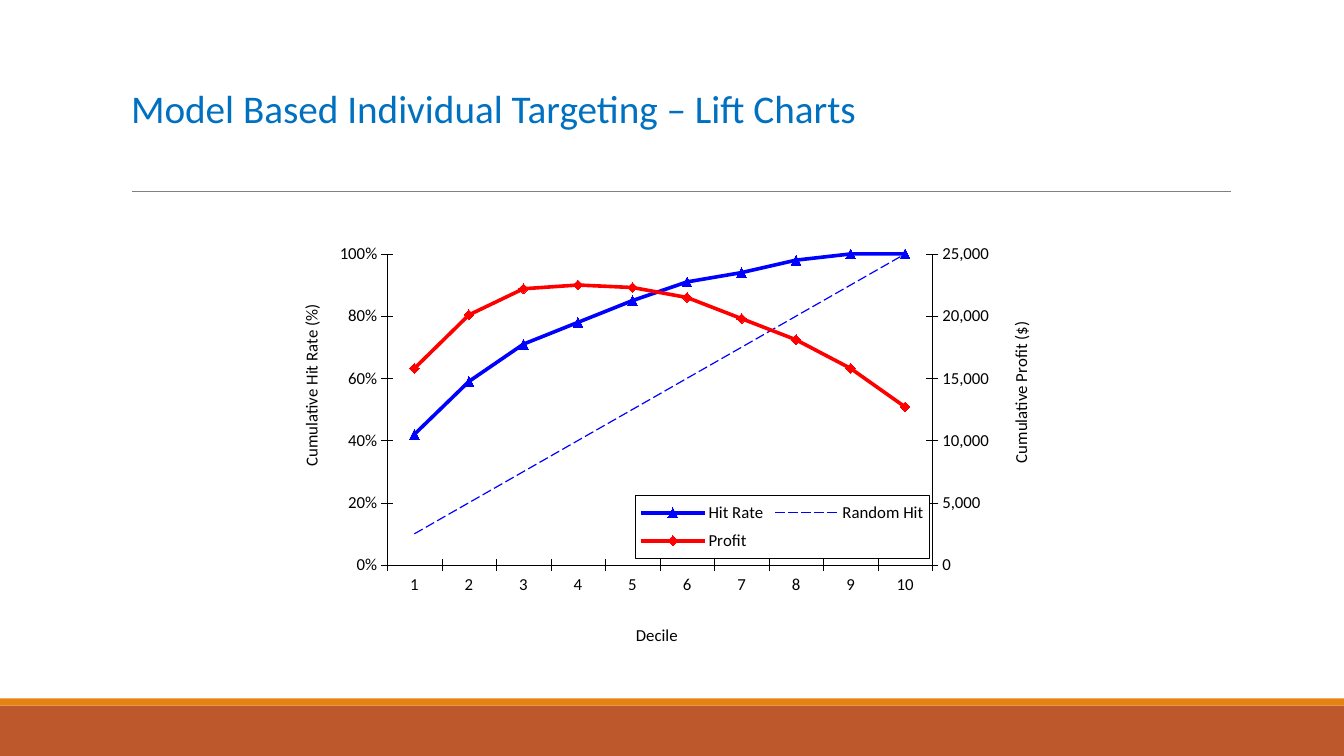
import copy
from dataclasses import dataclass
from typing import Optional

import lxml.etree
import pptx
import pptx.chart.axis
import pptx.chart.data
import pptx.dml.color
import pptx.enum.chart
import pptx.enum.dml
import pptx.enum.shapes
import pptx.enum.text
import pptx.oxml
import pptx.oxml.ns
import pptx.util

RGBColor = pptx.dml.color.RGBColor
MarkerStyle = pptx.enum.chart.XL_MARKER_STYLE
qn = pptx.oxml.ns.qn

BLACK = RGBColor(0x00, 0x00, 0x00)
GREY = RGBColor(0x80, 0x80, 0x80)
TITLE_BLUE = RGBColor(0x00, 0x70, 0xC0)
HIT_BLUE = RGBColor(0x00, 0x00, 0xFF)
PROFIT_RED = RGBColor(0xFF, 0x00, 0x00)
RUST = RGBColor(0xBD, 0x58, 0x2C)
ORANGE = RGBColor(0xE4, 0x83, 0x12)
FONT = "Calibri"
WIDTH, HEIGHT = 13.33, 7.5
LEGEND_BOX = (
    f'<c:spPr {pptx.oxml.ns.nsdecls("c", "a")}>'
    '<a:solidFill><a:srgbClr val="FFFFFF"/></a:solidFill><a:ln w="9525">'
    '<a:solidFill><a:srgbClr val="000000"/></a:solidFill></a:ln></c:spPr>'
)


@dataclass(frozen=True)
class Band:
    top: float
    height: float
    color: RGBColor


@dataclass(frozen=True)
class Curve:
    name: str
    values: tuple
    number_format: str
    color: RGBColor
    width: float
    marker: Optional[MarkerStyle] = None


@dataclass(frozen=True)
class Axis:
    title: str
    title_x: float
    title_y: float
    rotation: int = 0
    number_format: str = "General"
    maximum: Optional[float] = None
    step: Optional[float] = None


# Vertical positions are shares of the slide height
BANDS = (Band(7 / HEIGHT, 0.5 / HEIGHT, RUST), Band(6.93 / HEIGHT, 0.07 / HEIGHT, ORANGE))
CURVES = (
    Curve("Hit Rate", (0.42, 0.59, 0.71, 0.78, 0.85, 0.91, 0.94, 0.98, 1, 1),
          "0%", HIT_BLUE, 2.58, MarkerStyle.TRIANGLE),
    Curve("Random Hit", tuple(decile / 10 for decile in range(1, 11)), "0%", HIT_BLUE, 0.86),
    Curve("Profit", (15800, 20100, 22200, 22500, 22300, 21500, 19800, 18100, 15800, 12700),
          "#,##0", PROFIT_RED, 2.58, MarkerStyle.DIAMOND),
)
DECILE_AXIS = Axis("Decile", 0.46, 0.92)
HIT_AXIS = Axis("Cumulative Hit Rate (%)", 0.01, 0.18, -5400000, "0%", 1, 0.2)
PROFIT_AXIS = Axis("Cumulative Profit ($)", 0.96, 0.22, -5400000, "#,##0", 25000, 5000)


def across(share: float) -> int:
    return pptx.util.Inches(WIDTH * share)


def down(share: float) -> int:
    return pptx.util.Inches(HEIGHT * share)


def set_values(target, values: dict) -> None:
    for name, value in values.items():
        setattr(target, name, value)


def style_font(font, size: float, color: RGBColor) -> None:
    set_values(font, {"name": FONT, "size": pptx.util.Pt(size), "bold": False})
    font.color.rgb = color


def add_child(parent, tag: str, value: Optional[str] = None):
    child = lxml.etree.SubElement(parent, qn(tag))
    if value is not None:
        child.set("val", value)
    return child


def place(element, index: int, inner: bool = False, **shares: float) -> None:
    """Give a chart part a manual layout in shares of the chart."""
    layout = element.find(qn("c:layout"))
    if layout is None:
        layout = lxml.etree.Element(qn("c:layout"))
        element.insert(index, layout)
    for child in list(layout):
        layout.remove(child)
    manual = add_child(layout, "c:manualLayout")
    if inner:
        add_child(manual, "c:layoutTarget", "inner")
    for mode in ("xMode", "yMode"):
        add_child(manual, f"c:{mode}", "edge")
    for name, share in shares.items():
        add_child(manual, f"c:{name}", str(share))


def draw_frame(slide) -> None:
    for band in BANDS:
        shape = slide.shapes.add_shape(
            pptx.enum.shapes.MSO_SHAPE.RECTANGLE, 0, down(band.top), across(1), down(band.height))
        shape.shadow.inherit = False
        shape.fill.solid()
        shape.fill.fore_color.rgb = band.color
        shape.line.fill.background()
    rule_y = down(1.9 / HEIGHT)
    rule = slide.shapes.add_connector(
        pptx.enum.shapes.MSO_CONNECTOR.STRAIGHT,
        across(1.31 / WIDTH), rule_y, across(12.21 / WIDTH), rule_y)
    rule.line.color.rgb = GREY
    rule.line.width = pptx.util.Pt(0.5)
    add_child(rule.element.spPr, "a:effectLst")


def write_title(slide) -> None:
    title = slide.shapes.title
    set_values(title, {"left": across(1.2 / WIDTH), "top": down(0.31 / HEIGHT),
                       "width": across(11 / WIDTH), "height": down(1.59 / HEIGHT)})
    title.text = "Model Based Individual Targeting – Lift Charts"
    set_values(title.text_frame, {"word_wrap": True,
                                  "auto_size": pptx.enum.text.MSO_AUTO_SIZE.NONE,
                                  "vertical_anchor": pptx.enum.text.MSO_ANCHOR.MIDDLE})
    paragraph = title.text_frame.paragraphs[0]
    set_values(paragraph, {"alignment": pptx.enum.text.PP_ALIGN.LEFT, "line_spacing": 0.85})
    style_font(paragraph.runs[0].font, 28, TITLE_BLUE)


def style_curve(series, curve: Curve) -> None:
    series.smooth = False
    series.format.line.color.rgb = curve.color
    series.format.line.width = pptx.util.Pt(curve.width)
    if curve.marker is None:
        series.marker.style = MarkerStyle.NONE
        series.format.line.dash_style = pptx.enum.dml.MSO_LINE.LONG_DASH
        return
    set_values(series.marker, {"style": curve.marker, "size": 7})
    series.marker.format.fill.solid()
    series.marker.format.fill.fore_color.rgb = curve.color
    series.marker.format.line.color.rgb = curve.color


def style_axis(axis, element, design: Axis) -> None:
    set_values(axis, {"has_major_gridlines": False, "has_title": True,
                      "major_tick_mark": pptx.enum.chart.XL_TICK_MARK.CROSS,
                      "minor_tick_mark": pptx.enum.chart.XL_TICK_MARK.NONE})
    axis.format.line.color.rgb = BLACK
    axis.format.line.width = pptx.util.Pt(0.21)
    style_font(axis.tick_labels.font, 12, BLACK)
    set_values(axis.tick_labels, {"number_format": design.number_format,
                                  "number_format_is_linked": False})
    if design.step is not None:
        set_values(axis, {"minimum_scale": 0, "maximum_scale": design.maximum,
                          "major_unit": design.step})
    frame = axis.axis_title.text_frame
    frame.text = design.title
    style_font(frame.paragraphs[0].runs[0].font, 12, BLACK)
    title = element.find(qn("c:title"))
    title.find(f".//{qn('a:bodyPr')}").set("rot", str(design.rotation))
    place(title, 1, x=design.title_x, y=design.title_y)


def add_profit_axis(plot_area) -> None:
    """Move the last curve to a second line plot with its own axes."""
    hit_plot = plot_area.find(qn("c:lineChart"))
    category, value = plot_area.find(qn("c:catAx")), plot_area.find(qn("c:valAx"))
    profit_plot = copy.deepcopy(hit_plot)
    hit_plot.remove(hit_plot.findall(qn("c:ser"))[-1])
    for series in profit_plot.findall(qn("c:ser"))[:-1]:
        profit_plot.remove(series)
    hit_plot.addnext(profit_plot)
    profit_value, profit_category = copy.deepcopy(value), copy.deepcopy(category)
    value.addnext(profit_value)
    profit_value.addnext(profit_category)
    ids = ("50010", "50020")
    for axis_id, new_id in zip(profit_plot.findall(qn("c:axId")), ids):
        axis_id.set("val", new_id)
    for axis, own, other in ((profit_category, *ids), (profit_value, *reversed(ids))):
        axis.find(qn("c:axId")).set("val", own)
        axis.find(qn("c:crossAx")).set("val", other)
    profit_value.find(qn("c:axPos")).set("val", "r")
    profit_value.find(qn("c:crosses")).set("val", "max")
    pptx.chart.axis.CategoryAxis(profit_category).visible = False


def draw_lift_chart(slide) -> None:
    data = pptx.chart.data.CategoryChartData()
    data.categories = [str(decile) for decile in range(1, 11)]
    for curve in CURVES:
        data.add_series(curve.name, curve.values, curve.number_format)
    chart = slide.shapes.add_chart(
        pptx.enum.chart.XL_CHART_TYPE.LINE_MARKERS, across(2.87 / WIDTH), down(2.22 / HEIGHT),
        across(7.41 / WIDTH), down(4.28 / HEIGHT), data).chart
    set_values(chart, {"has_title": False, "has_legend": True})
    style_font(chart.font, 12, BLACK)
    chart.plots[0].vary_by_categories = False
    for series, curve in zip(chart.plots[0].series, CURVES):
        style_curve(series, curve)

    # Axes and plot area
    plot_area = chart.element.find(f".//{qn('c:plotArea')}")
    add_profit_axis(plot_area)
    style_axis(chart.category_axis, plot_area.find(qn("c:catAx")), DECILE_AXIS)
    for element, design in zip(plot_area.findall(qn("c:valAx")), (HIT_AXIS, PROFIT_AXIS)):
        style_axis(pptx.chart.axis.ValueAxis(element), element, design)
    place(plot_area, 0, inner=True, x=0.131, y=0.07, w=0.73, h=0.721)

    # Legend inside the plot
    set_values(chart.legend, {"position": pptx.enum.chart.XL_LEGEND_POSITION.RIGHT,
                              "include_in_layout": False})
    style_font(chart.legend.font, 12, BLACK)
    legend = chart.element.find(f".//{qn('c:legend')}")
    place(legend, 1, x=0.463, y=0.629, w=0.394, h=0.147)
    legend.find(qn("c:overlay")).addnext(pptx.oxml.parse_xml(LEGEND_BOX))


def main() -> None:
    presentation = pptx.Presentation()
    presentation.slide_width, presentation.slide_height = across(1), down(1)
    slide = presentation.slides.add_slide(presentation.slide_layouts[5])
    draw_frame(slide)
    write_title(slide)
    draw_lift_chart(slide)
    presentation.save("out.pptx")


if __name__ == "__main__":
    main()
